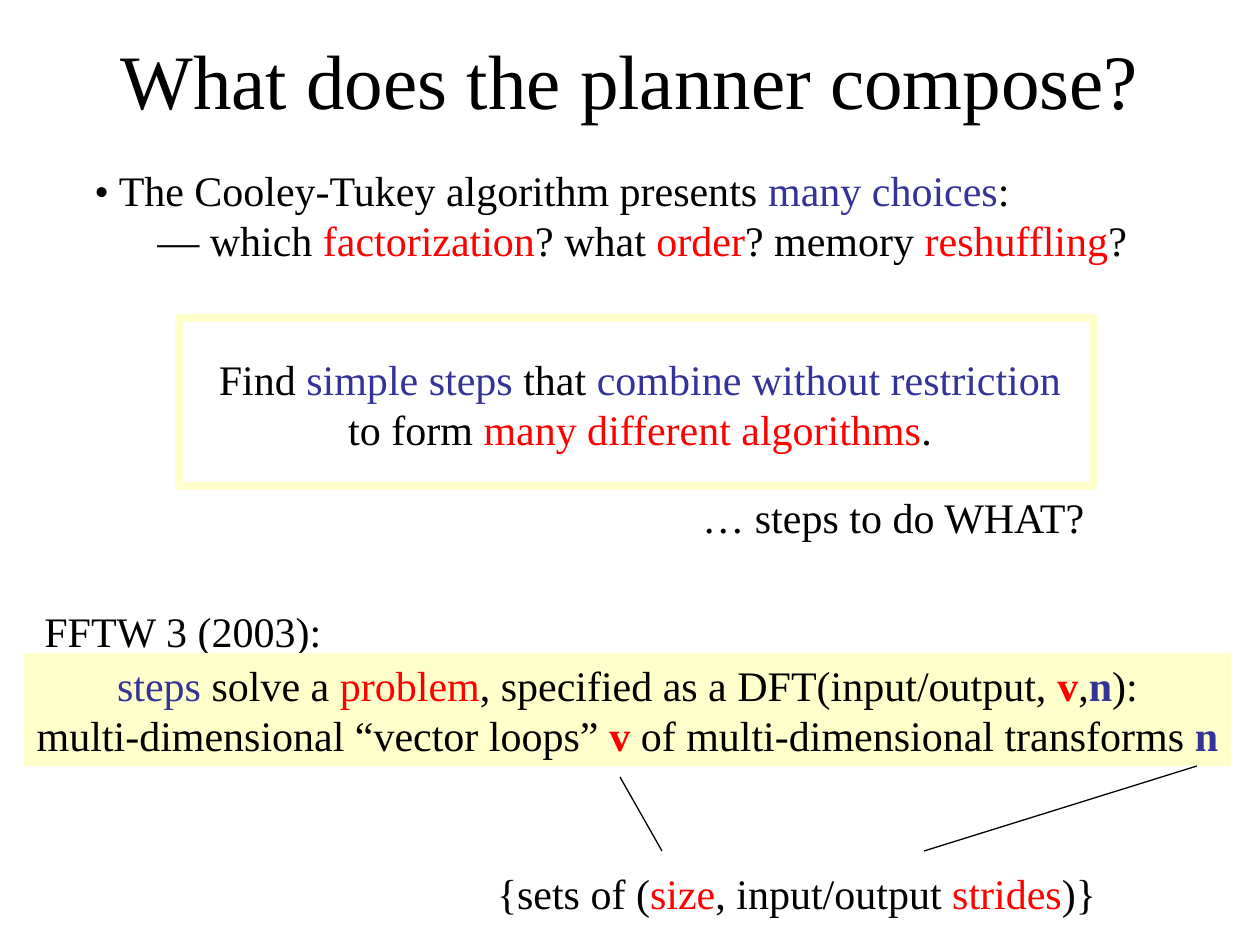
import pptx
import pptx.dml.color
import pptx.enum.shapes
import pptx.enum.text
import pptx.util
from lxml import etree

PX = 914400 / 126
FONT = "Times New Roman"
BLACK, BLUE, RED = "000000", "333399", "FF0000"
WHITE, CREAM = "FFFFFF", "FFFFCC"
LEFT = pptx.enum.text.PP_ALIGN.LEFT
CENTER = pptx.enum.text.PP_ALIGN.CENTER
TOP = pptx.enum.text.MSO_ANCHOR.TOP
MIDDLE = pptx.enum.text.MSO_ANCHOR.MIDDLE


def emu(*lengths):
    return [pptx.util.Emu(round(length * PX)) for length in lengths]


def color(hex_string):
    return pptx.dml.color.RGBColor.from_string(hex_string)


def write(shape, paragraphs, align=LEFT, size=24, anchor=TOP):
    """Fill a shape with paragraphs, each a list of (text, color[, bold]) runs."""
    frame = shape.text_frame
    frame.word_wrap = False
    frame.vertical_anchor = anchor
    for index, runs in enumerate(paragraphs):
        paragraph = frame.paragraphs[0] if index == 0 else frame.add_paragraph()
        paragraph.alignment = align
        for text, hex_string, *bold in runs:
            run = paragraph.add_run()
            run.text = text
            run.font.name = FONT
            run.font.size = pptx.util.Pt(size)
            run.font.bold = bool(bold)
            run.font.color.rgb = color(hex_string)


def add_text(slide, box, paragraphs, **style):
    write(slide.shapes.add_textbox(*emu(*box)), paragraphs, **style)


def add_rectangle(slide, box, fill, line=None):
    kind = pptx.enum.shapes.MSO_SHAPE.RECTANGLE
    shape = slide.shapes.add_shape(kind, *emu(*box))
    shape.shadow.inherit = False
    shape.fill.solid()
    shape.fill.fore_color.rgb = color(fill)
    if line:
        shape.line.color.rgb = color(line)
        shape.line.width = pptx.util.Pt(4.5)
    else:
        shape.line.fill.background()
    return shape


def add_line(slide, start, end):
    kind = pptx.enum.shapes.MSO_CONNECTOR.STRAIGHT
    line = slide.shapes.add_connector(kind, *emu(*start, *end))
    line.line.color.rgb = color(BLACK)
    line.line.width = pptx.util.Pt(0.75)
    properties = line._element.spPr
    etree.SubElement(properties, pptx.oxml.ns.qn("a:effectLst"))


def add_title(slide, box):
    title = [[("What does the planner compose?", BLACK)]]
    add_text(slide, box, title, align=CENTER, size=44, anchor=MIDDLE)


def add_choices(slide, box):
    add_text(slide, box, [
        [("• The Cooley-Tukey algorithm presents ", BLACK),
         ("many choices", BLUE), (":", BLACK)],
        [("\t— which ", BLACK), ("factorization", RED), ("? what ", BLACK),
         ("order", RED), ("? memory ", BLACK), ("reshuffling", RED),
         ("?", BLACK)],
    ])


def add_goal(slide, box):
    """Framed goal, with the question it raises under its right end."""
    left, top, width, height = box
    add_rectangle(slide, box, WHITE, CREAM)
    add_text(slide, (left + 27, top + 29, 868, 113), [
        [("Find ", BLACK), ("simple steps", BLUE), (" that ", BLACK),
         ("combine without restriction", BLUE)],
        [("to form ", BLACK), ("many different algorithms", RED),
         (".", BLACK)],
    ], align=CENTER)
    add_text(slide, (left + width - 403, top + height - 1, 412, 63),
             [[("… steps to do WHAT?", BLACK)]])


def add_problem(slide, box):
    """Heading above a filled band that defines a problem."""
    left, top, width, height = box
    add_text(slide, (left + 8, top, 302, 63), [[("FFTW 3 (2003):", BLACK)]])
    band = add_rectangle(slide, (left, top + 54, width, height - 54), CREAM)
    write(band, [
        [("steps", BLUE), (" solve a ", BLACK), ("problem", RED),
         (", specified as a DFT(input/output, ", BLACK), ("v", RED, True),
         (",", BLACK), ("n", BLUE, True), ("):", BLACK)],
        [("multi-dimensional “vector loops” ", BLACK), ("v", RED, True),
         (" of multi-dimensional transforms ", BLACK), ("n", BLUE, True)],
    ], align=CENTER)


def add_sets(slide, box):
    """Lines from v and n in the band above, down to what they hold."""
    left, top, width, height = box
    add_line(slide, (left + 136, top + 11), (left + 178, top + 85))
    add_line(slide, (left + width, top), (left + 440, top + 85))
    add_text(slide, (left, top + height - 63, 625, 63), [
        [("{sets of (", BLACK), ("size", RED), (", input/output ", BLACK),
         ("strides", RED), (")}", BLACK)],
    ], align=CENTER)


def main():
    presentation = pptx.Presentation()
    presentation.slide_width, presentation.slide_height = emu(1260, 945)
    slide = presentation.slides.add_slide(presentation.slide_layouts[6])
    add_title(slide, (95, 0, 1070, 158))
    add_choices(slide, (82, 158, 1121, 113))
    add_goal(slide, (179, 318, 914, 168))
    add_problem(slide, (24, 599, 1207, 167))
    add_sets(slide, (484, 766, 713, 158))
    presentation.save("out.pptx")


if __name__ == "__main__":
    main()
